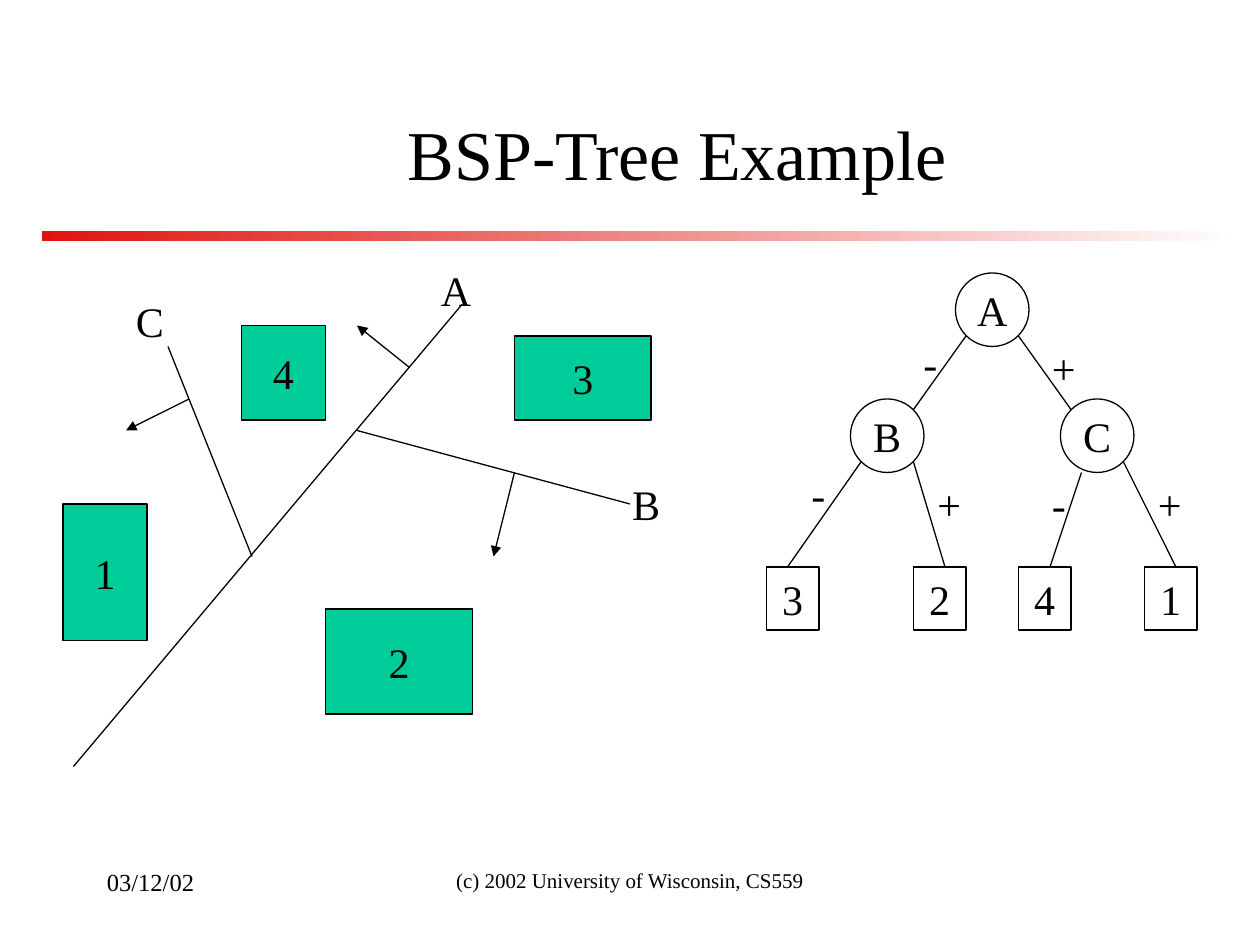
from typing import NamedTuple

import lxml.etree
import pptx
import pptx.dml.color
import pptx.enum.shapes
import pptx.enum.text
import pptx.oxml.ns
import pptx.slide
import pptx.text.text
import pptx.util

Pt = pptx.util.Pt
Shape = pptx.enum.shapes.MSO_SHAPE
Align = pptx.enum.text.PP_ALIGN
Anchor = pptx.enum.text.MSO_ANCHOR

FONT = "Times New Roman"
BLACK, GREEN, RED, WHITE = "000000", "00CC99", "DF140F", "FFFFFF"
LINE_WIDTH = 0.74
NODE_SIZE = 42
LEAF_TOP, LEAF_WIDTH, LEAF_HEIGHT = 324, 30, 36


class Box(NamedTuple):
    """A text with its place in points."""
    text: str
    left: float
    top: float
    width: float
    height: float = 36


class Line(NamedTuple):
    """A straight line, with an optional arrowhead at its end."""
    start_x: float
    start_y: float
    end_x: float
    end_y: float
    arrow: bool = False


PARTITIONS = [
    Line(42, 438, 264, 174),
    Line(204, 246, 360, 288),
    Line(144, 318, 96, 198),
    Line(234, 210, 204, 186, arrow=True),
    Line(108, 228, 72, 246, arrow=True),
    Line(294, 270, 282, 318, arrow=True),
]
REGIONS = [
    Box("2", 186, 348, 84, 60),
    Box("4", 138, 186, 48, 54),
    Box("1", 36, 288, 48, 78),
    Box("3", 294, 192, 78, 48),
]
NODES = [
    Box("A", 546, 156, NODE_SIZE, NODE_SIZE),
    Box("B", 486, 228, NODE_SIZE, NODE_SIZE),
    Box("C", 606, 228, NODE_SIZE, NODE_SIZE),
]
LEAVES = [
    Box(text, left, LEAF_TOP, LEAF_WIDTH, LEAF_HEIGHT)
    for text, left in (("3", 438), ("2", 522), ("4", 582), ("1", 654))
]
BRANCHES = [
    Line(552, 192, 522, 234),
    Line(582, 192, 612, 234),
    Line(492, 264, 450, LEAF_TOP),
    Line(522, 264, 540, LEAF_TOP),
    Line(618, 270, 600, LEAF_TOP),
    Line(642, 264, 672, LEAF_TOP),
]
LABELS = [
    Box("A", 244.8, 147.6, 31.7),
    Box("C", 70.6, 165.6, 30.2),
    Box("B", 354.2, 270, 30.2),
    Box("-", 520.6, 189.4, 22.3),
    Box("-", 456.5, 264.2, 22.3),
    Box("-", 594, 270, 22.3),
    Box("+", 594, 192, 28.1),
    Box("+", 654.5, 270, 28.1),
    Box("+", 528.5, 270, 28.1),
]


def color(value: str) -> pptx.dml.color.RGBColor:
    """Turn a hex string into a colour."""
    return pptx.dml.color.RGBColor.from_string(value)


def write(frame: pptx.text.text.TextFrame, text: str, size: float,
          align: Align, anchor: Anchor, wrap: bool) -> None:
    """Write one formatted run into a text frame."""
    frame.word_wrap = wrap
    frame.vertical_anchor = anchor
    paragraph = frame.paragraphs[0]
    paragraph.alignment = align
    run = paragraph.add_run()
    run.text = text
    run.font.name = FONT
    run.font.size = Pt(size)
    run.font.color.rgb = color(BLACK)


def add_text(slide: pptx.slide.Slide, box: Box, size: float = 24,
             align: Align = Align.LEFT, anchor: Anchor = Anchor.TOP,
             wrap: bool = False) -> None:
    """Add a text box."""
    shape = slide.shapes.add_textbox(*(Pt(length) for length in box[1:]))
    write(shape.text_frame, box.text, size, align, anchor, wrap)


def add_shape(slide: pptx.slide.Slide, box: Box, kind: Shape,
              fill: str | None = None) -> None:
    """Add an outlined shape with a centred text."""
    shape = slide.shapes.add_shape(kind, *(Pt(length) for length in box[1:]))
    shape.shadow.inherit = False
    if fill is None:
        shape.fill.background()
    else:
        shape.fill.solid()
        shape.fill.fore_color.rgb = color(fill)
    shape.line.color.rgb = color(BLACK)
    shape.line.width = Pt(LINE_WIDTH)
    write(shape.text_frame, box.text, 24, Align.CENTER, Anchor.MIDDLE, False)


def add_line(slide: pptx.slide.Slide, line: Line) -> None:
    """Add a straight connector."""
    connector = slide.shapes.add_connector(
        pptx.enum.shapes.MSO_CONNECTOR.STRAIGHT,
        *(Pt(length) for length in line[:4]))
    connector.line.color.rgb = color(BLACK)
    connector.line.width = Pt(LINE_WIDTH)
    qualified = pptx.oxml.ns.qn
    properties = connector.element.spPr
    if line.arrow:
        lxml.etree.SubElement(properties.find(qualified("a:ln")),
                              qualified("a:tailEnd"), type="triangle")
    lxml.etree.SubElement(properties, qualified("a:effectLst"))


def add_rule(slide: pptx.slide.Slide) -> None:
    """Add the bar under the title, fading from red to white."""
    bar = slide.shapes.add_shape(Shape.RECTANGLE, Pt(24), Pt(132), Pt(684), Pt(6))
    bar.shadow.inherit = False
    bar.line.fill.background()
    bar.fill.gradient()
    bar.fill.gradient_angle = 0
    for stop, value in zip(bar.fill.gradient_stops, (RED, WHITE)):
        stop.color.rgb = color(value)


def main() -> None:
    """Build and save the slide."""
    presentation = pptx.Presentation()
    presentation.slide_width, presentation.slide_height = Pt(720), Pt(540)
    slide = presentation.slides.add_slide(presentation.slide_layouts[6])

    add_rule(slide)
    add_text(slide, Box("BSP-Tree Example", 96, 48, 582, 78), 40,
             Align.CENTER, Anchor.MIDDLE, wrap=True)
    for line in PARTITIONS + BRANCHES:
        add_line(slide, line)
    for region in REGIONS:
        add_shape(slide, region, Shape.RECTANGLE, GREEN)
    for node in NODES:
        add_shape(slide, node, Shape.OVAL)
    for leaf in LEAVES:
        add_shape(slide, leaf, Shape.RECTANGLE)
    for label in LABELS:
        add_text(slide, label)
    add_text(slide, Box("(c) 2002 University of Wisconsin, CS559", 246, 492, 228),
             12, Align.CENTER, wrap=True)
    add_text(slide, Box("03/12/02", 54, 492, 150), 14, wrap=True)

    presentation.save("out.pptx")


main()
